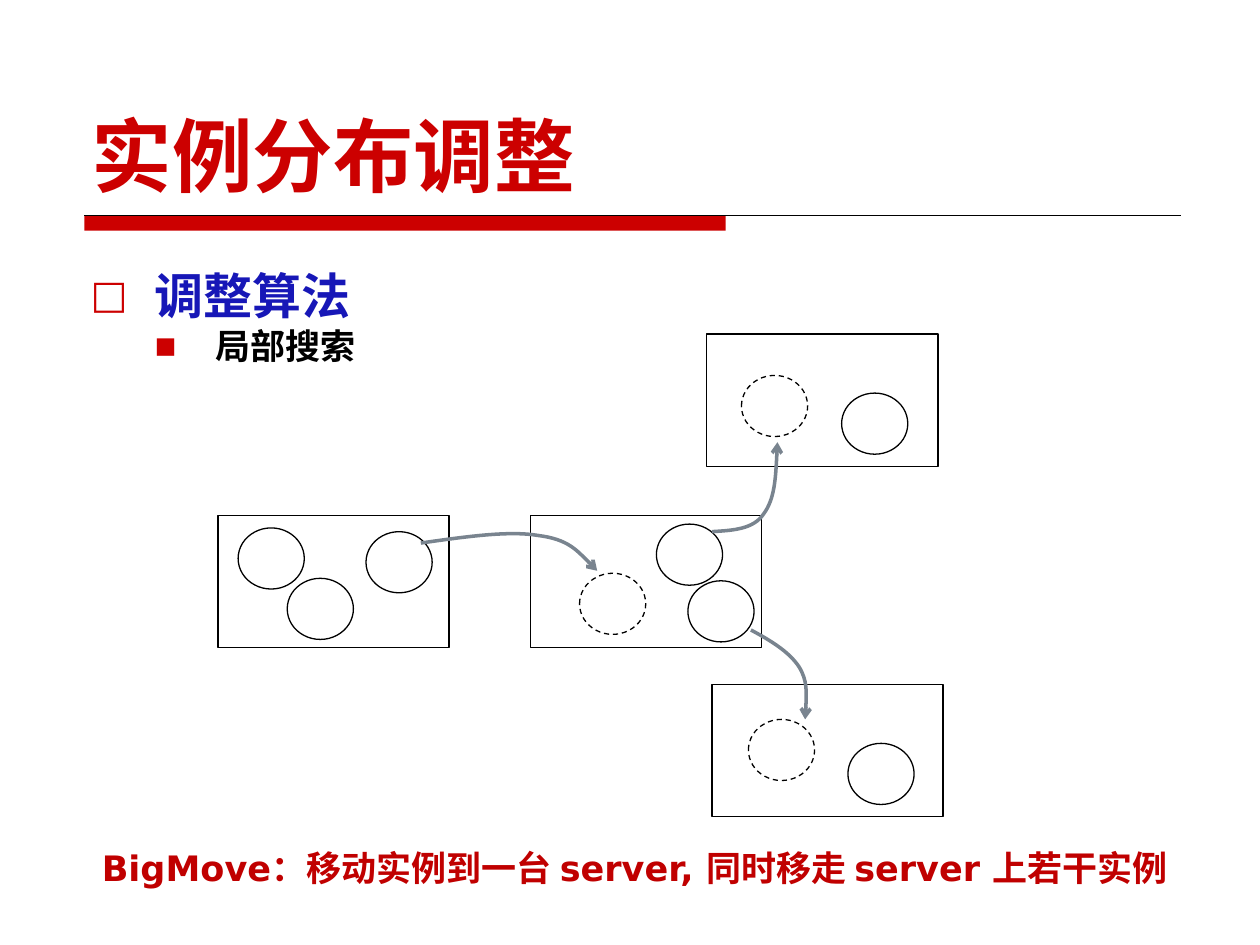
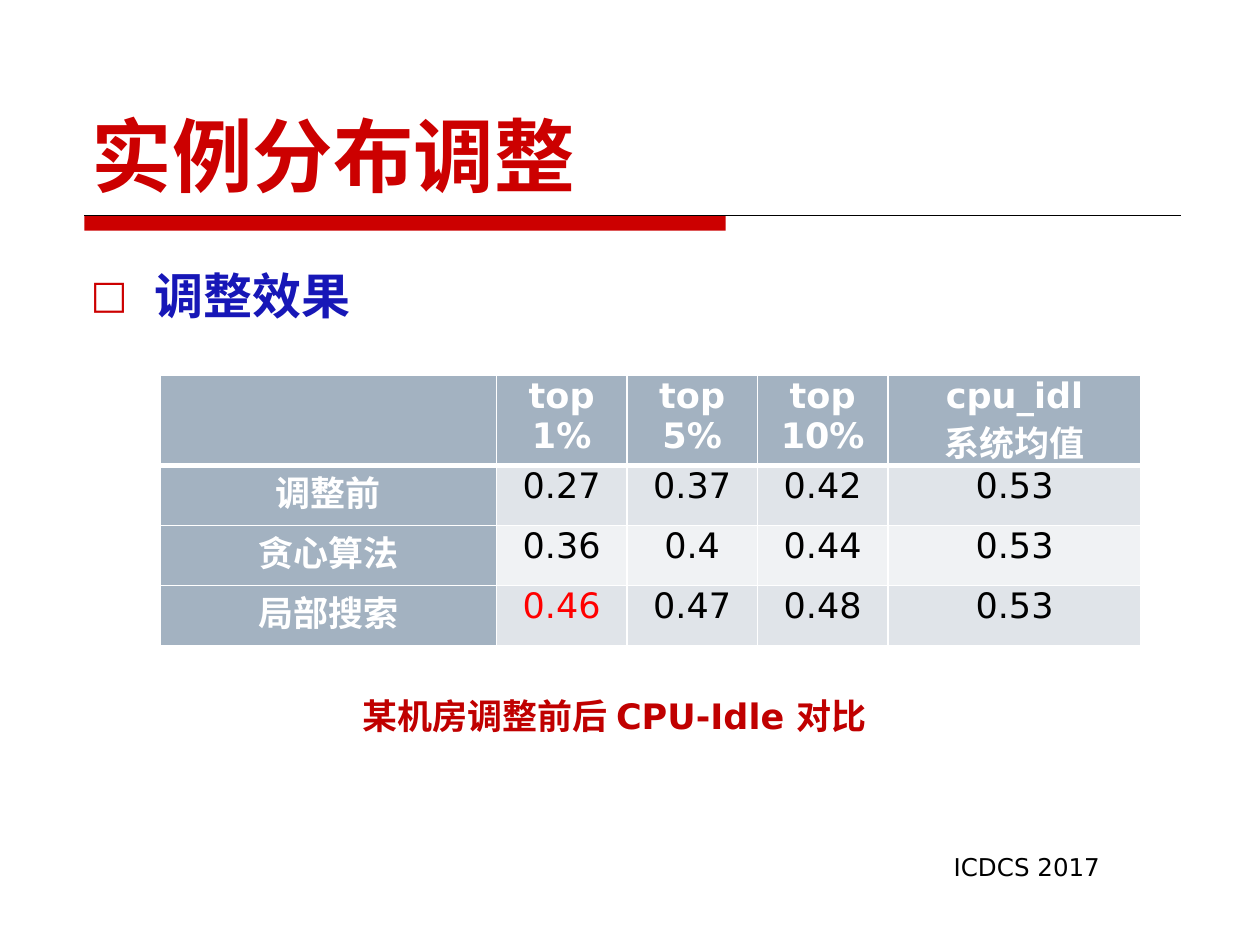
import copy
import dataclasses

import pptx
import pptx.dml.color
import pptx.enum.dml
import pptx.enum.shapes
import pptx.enum.text
import pptx.oxml
import pptx.oxml.ns
import pptx.util

qn = pptx.oxml.ns.qn
CELL = pptx.util.Inches(0.1)


@dataclasses.dataclass(frozen=True)
class Theme:
    """Colours, fonts and type sizes shared by the slides."""

    red: str = "CC0000"
    caption: str = "C00000"
    highlight: str = "FF0000"
    blue: str = "1717B7"
    black: str = "000000"
    white: str = "FFFFFF"
    arrow: str = "79848F"
    header: str = "A3B2C1"
    bands: tuple = ("E0E4E9", "F0F2F4")
    latin: str = "DejaVu Sans"
    chinese: str = "Noto Sans CJK SC"
    title_size: int = 46
    topic_size: int = 28
    text_size: int = 20
    footer_size: int = 14


THEME = Theme()


@dataclasses.dataclass(frozen=True)
class Box:
    """A region on the grid of 100 columns and 75 rows."""

    left: float
    top: float
    width: float
    height: float

    def area(self, left, top, width, height):
        """Return a box placed relative to this one."""
        return Box(self.left + left, self.top + top, width, height)

    def point(self, x, y):
        """Return a position inside this box in slide units."""
        return int((self.left + x) * CELL), int((self.top + y) * CELL)

    def frame(self):
        """Return left, top, width and height in slide units."""
        return [int(n * CELL) for n in (self.left, self.top, self.width, self.height)]


PAGE = Box(0, 0, 100, 75)
HEADING = PAGE.area(6.3, 3.3, 87.5, 13.3)
BODY = PAGE.area(6.2, 19.2, 90.9, 49.5)
DIAGRAM = PAGE.area(17, 26, 58, 39)
RESULTS = PAGE.area(12.7, 29.8, 78, 21.5)


def rgb(code):
    """Turn a hex code into a colour."""
    return pptx.dml.color.RGBColor.from_string(code)


def element(tag, parent=None, **attributes):
    """Make a drawing element, under a parent when one is given."""
    node = pptx.oxml.parse_xml(
        '<a:%s xmlns:a="http://schemas.openxmlformats.org/drawingml/2006/main"/>' % tag)
    for name, value in attributes.items():
        node.set(name, str(value))
    if parent is not None:
        parent.append(node)
    return node


def write(para, text, size=THEME.text_size, color=THEME.black, bold=False,
          font=THEME.latin, align=None):
    """Add formatted text to a paragraph."""
    span = para.add_run()
    span.text = text
    span.font.size = pptx.util.Pt(size)
    span.font.bold = bold
    span.font.color.rgb = rgb(color)
    span.font.name = font
    element("ea", span.font._element, typeface=THEME.chinese)
    if align is not None:
        para.alignment = align


def add_text_frame(page, box, anchor=pptx.enum.text.MSO_ANCHOR.TOP):
    """Add a wrapping text box and return its text frame."""
    frame = page.shapes.add_textbox(*box.frame()).text_frame
    frame.word_wrap = True
    frame.vertical_anchor = anchor
    return frame


def add_label(page, box, text, **style):
    """Add a one-line text box."""
    write(add_text_frame(page, box).paragraphs[0], text, **style)


def set_bullet(para, symbol, margin, hanging, percent):
    """Give a paragraph a red bullet and a hanging indent."""
    props = para._p.get_or_add_pPr()
    props.set("marL", str(pptx.util.Inches(margin)))
    props.set("indent", str(-pptx.util.Inches(hanging)))
    element("srgbClr", element("buClr", props), val=THEME.red)
    element("buSzPct", props, val=percent * 1000)
    element("buFont", props, typeface=THEME.latin)
    element("buChar", props, char=symbol)


def add_heading(page, box, text):
    """Draw the title with the bar and rule below it."""
    frame = add_text_frame(page, box, pptx.enum.text.MSO_ANCHOR.BOTTOM)
    write(frame.paragraphs[0], text, size=THEME.title_size, color=THEME.red,
          bold=True, font=THEME.chinese)
    bar = page.shapes.add_shape(pptx.enum.shapes.MSO_SHAPE.RECTANGLE,
                                *box.area(0.4, 13.8, 50.9, 1.2).frame())
    bar.shadow.inherit = False
    bar.fill.solid()
    bar.fill.fore_color.rgb = rgb(THEME.red)
    bar.line.fill.background()
    rule = page.shapes.add_connector(pptx.enum.shapes.MSO_CONNECTOR.STRAIGHT,
                                     *box.point(0.4, 13.8), *box.point(87.4, 13.8))
    rule.line.color.rgb = rgb(THEME.black)
    rule.line.width = pptx.util.Pt(0.75)
    element("effectLst", rule._element.spPr)


def add_body(page, box, topic, detail=None):
    """Write the topic and an optional detail below it."""
    frame = add_text_frame(page, box)
    para = frame.paragraphs[0]
    set_bullet(para, "□", 0.51, 0.51, 80)
    para.line_spacing = 1.3
    write(para, topic, size=THEME.topic_size, color=THEME.blue, bold=True,
          font=THEME.chinese)
    if detail:
        para = frame.add_paragraph()
        set_bullet(para, "■", 0.99, 0.48, 65)
        write(para, detail, bold=True, font=THEME.chinese)


def add_outline(page, kind, box, dashed=False):
    """Draw an unfilled shape with a thin black line."""
    shape = page.shapes.add_shape(kind, *box.frame())
    shape.shadow.inherit = False
    shape.fill.background()
    shape.line.color.rgb = rgb(THEME.black)
    shape.line.width = pptx.util.Pt(0.75)
    if dashed:
        shape.line.dash_style = pptx.enum.dml.MSO_LINE.DASH


def add_server(page, box, instances, vacancies):
    """Draw a server with its instances and dashed arrival places."""
    add_outline(page, pptx.enum.shapes.MSO_SHAPE.RECTANGLE, box)
    for places, dashed in ((instances, False), (vacancies, True)):
        for left, top in places:
            add_outline(page, pptx.enum.shapes.MSO_SHAPE.OVAL,
                        box.area(left, top, 5.25, 4.85), dashed)


def add_move(page, box, points):
    """Draw a curved arrow through a start and groups of three Bezier points."""
    start, *rest = [box.point(x, y) for x, y in points]
    builder = page.shapes.build_freeform(*start)
    builder.add_line_segments(rest, close=False)
    curve = builder.convert_to_shape()
    curve.shadow.inherit = False
    curve.fill.background()
    curve.line.color.rgb = rgb(THEME.arrow)
    curve.line.width = pptx.util.Pt(2)
    element("tailEnd", curve.line._get_or_add_ln(), type="arrow")
    segments = list(curve._element.iter(qn("a:lnTo")))
    outline = segments[0].getparent()
    for first in range(0, len(segments), 3):
        bezier = element("cubicBezTo", outline)
        for segment in segments[first:first + 3]:
            bezier.append(copy.deepcopy(segment[0]))
            outline.remove(segment)


def add_diagram(page, box):
    """Draw the servers and the moves between them."""
    servers = (
        ((39.1, 0.5), [(10.7, 4.7)], [(2.75, 3.3)]),
        ((25.1, 14.9), [(10, 0.7), (12.5, 5.2)], [(3.9, 4.6)]),
        ((0.3, 14.9), [(1.6, 1), (11.75, 1.3), (5.5, 5)], []),
        ((39.5, 28.3), [(10.8, 4.7)], [(2.9, 2.8)]),
    )
    moves = (
        [(16.4, 17.1), (19.9, 16.6), (23.4, 16.1), (25.7, 16.5),
         (28.1, 16.8), (29.2, 18.1), (30.4, 19.3)],
        [(39.5, 16.2), (41.2, 16.1), (42.8, 16), (43.6, 14.8),
         (44.5, 13.6), (44.6, 11.3), (44.7, 9.1)],
        [(42.6, 24), (44.1, 24.8), (45.6, 25.7), (46.4, 26.9),
         (47.1, 28), (47, 29.6), (46.9, 31.1)],
    )
    for corner, instances, vacancies in servers:
        add_server(page, box.area(*corner, 18.35, 10.5), instances, vacancies)
    for points in moves:
        add_move(page, box, points)


def style_cell(cell, fill, bottom):
    """Set the insets, white borders and fill of a table cell."""
    cell.margin_left = cell.margin_right = pptx.util.Inches(0.07)
    cell.margin_top = cell.margin_bottom = 0
    props = cell._tc.get_or_add_tcPr()
    for side, width in (("lnL", 1), ("lnR", 1), ("lnT", 1), ("lnB", bottom)):
        border = element(side, props, w=pptx.util.Pt(width))
        element("srgbClr", element("solidFill", border), val=THEME.white)
    cell.fill.solid()
    cell.fill.fore_color.rgb = rgb(fill)


def add_results(page, box):
    """Draw the table of idle shares before and after the adjustment."""
    rows = (
        ("", "top 1%", "top 5%", "top 10%", "cpu_idl\n系统均值"),
        ("调整前", "0.27", "0.37", "0.42", "0.53"),
        ("贪心算法", "0.36", "0.4", "0.44", "0.53"),
        ("局部搜索", "0.46", "0.47", "0.48", "0.53"),
    )
    table = page.shapes.add_table(len(rows), len(rows[0]), *box.frame()).table
    for column, width in zip(table.columns, (26.7, 10.36, 10.36, 10.36, 20.1)):
        column.width = int(width * CELL)
    for row, height in zip(table.rows, (7.15, 4.76, 4.76, 4.76)):
        row.height = int(height * CELL)
    for r, values in enumerate(rows):
        for c, value in enumerate(values):
            cell = table.cell(r, c)
            heading = r == 0 or c == 0
            style_cell(cell, THEME.header if heading else THEME.bands[(r - 1) % 2],
                       3 if r == 0 else 1)
            color = THEME.white if heading else THEME.black
            if value == "0.46":
                color = THEME.highlight
            for n, line in enumerate(value.split("\n") if value else []):
                para = cell.text_frame.add_paragraph() if n else cell.text_frame.paragraphs[0]
                write(para, line, color=color, bold=heading,
                      align=pptx.enum.text.PP_ALIGN.CENTER)


def add_page(deck, topic, detail=None):
    """Add a slide with the shared heading and its topic."""
    page = deck.slides.add_slide(deck.slide_layouts[6])
    add_heading(page, HEADING, "实例分布调整")
    add_body(page, BODY, topic, detail)
    return page


def add_algorithm_slide(deck):
    """Build the slide on the local search move."""
    page = add_page(deck, "调整算法", "局部搜索")
    add_label(page, PAGE.area(7.1, 66.7, 90, 4.4),
              "BigMove：移动实例到一台 server, 同时移走 server 上若干实例",
              color=THEME.caption, bold=True)
    add_diagram(page, DIAGRAM)


def add_effect_slide(deck):
    """Build the slide on the measured effect."""
    page = add_page(deck, "调整效果")
    add_results(page, RESULTS)
    add_label(page, PAGE.area(27.8, 54.6, 47.7, 4.4), "某机房调整前后 CPU-Idle 对比",
              color=THEME.caption, bold=True)
    add_label(page, PAGE.area(74.7, 67.1, 17.5, 3.4), "ICDCS 2017",
              size=THEME.footer_size)


def main():
    """Build and save the deck."""
    deck = pptx.Presentation()
    deck.slide_width = int(PAGE.width * CELL)
    deck.slide_height = int(PAGE.height * CELL)
    add_algorithm_slide(deck)
    add_effect_slide(deck)
    deck.save("out.pptx")


if __name__ == "__main__":
    main()
